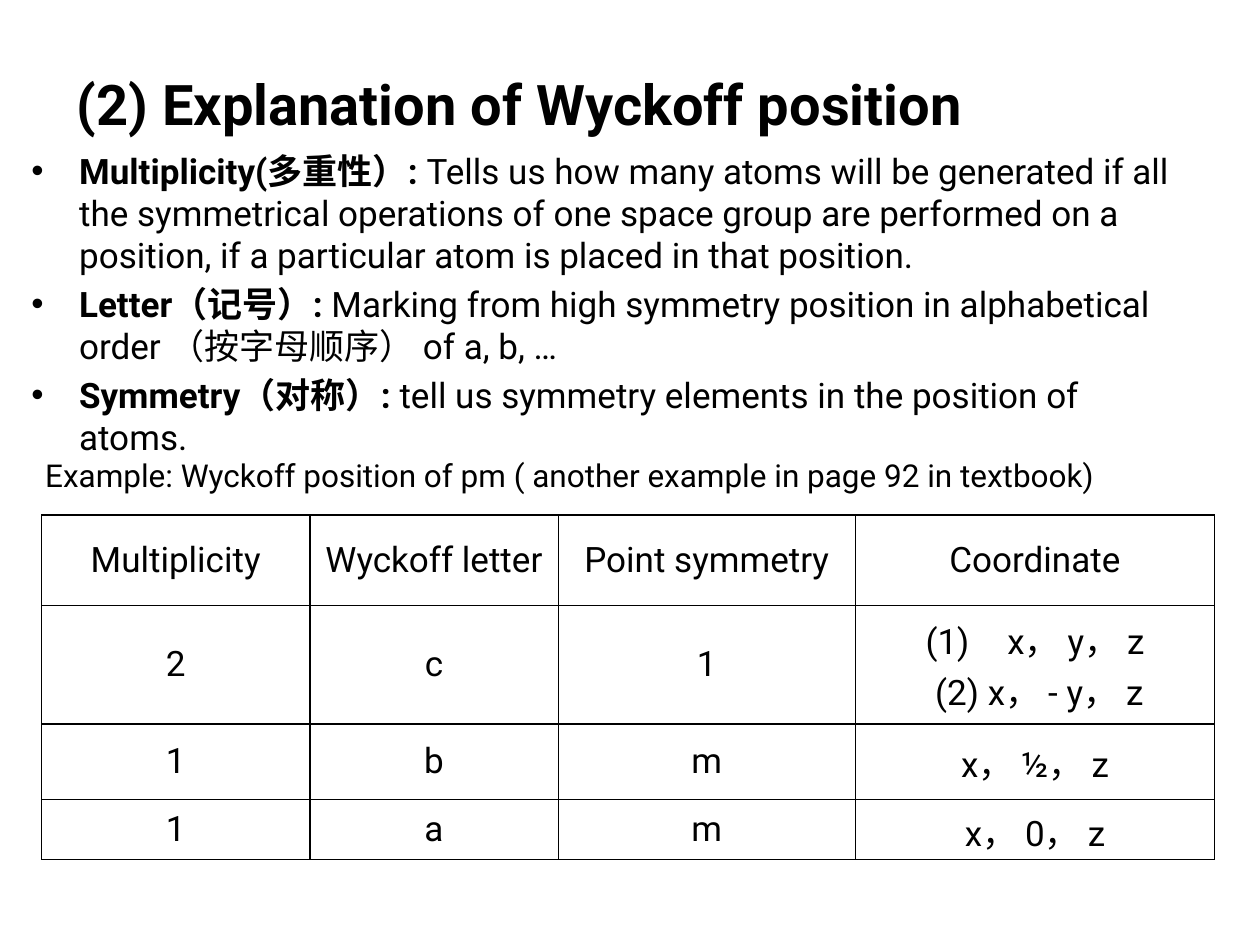
from lxml.etree import SubElement as Sub
from pptx import Presentation
from pptx.dml.color import RGBColor as RGB
from pptx.enum.text import MSO_ANCHOR as Anchor, MSO_AUTO_SIZE as AutoSize, PP_ALIGN as Align
from pptx.oxml.ns import qn
from pptx.util import Inches, Pt

COLORS = {"text": "000000", "border": "000000"}
FONT = "Roboto"
WIDTH, HEIGHT = Inches(10), Inches(7.5)

# Boxes as shares of the slide: left, top, width, height
TITLE_BOX = (0.051, 0.067, 0.74, 0.085)
BODY_BOX = (0.015, 0.152, 0.934, 0.336)
CAPTION_BOX = (0.026, 0.476, 0.918, 0.053)
TABLE_BOX = (0.033, 0.545, 0.931, 0.365)

TITLE = "(2) Explanation of Wyckoff position"
CAPTION = "Example: Wyckoff position of pm ( another example in page 92 in textbook)"
TERMS = [
    ("Multiplicity(多重性）: ",
     "Tells us how many atoms will be generated if all the symmetrical operations "
     "of one space group are performed on a position, if a particular atom is "
     "placed in that position."),
    ("Letter（记号）: ",
     "Marking from high symmetry position in alphabetical order （按字母顺序） of a, b, …"),
    ("Symmetry（对称）: ",
     "tell us symmetry elements in the position of atoms."),
]
ROWS = [
    ["Multiplicity", "Wyckoff letter", "Point symmetry", "Coordinate"],
    ["2", "c", "1", " x， y， z\n (2) x， - y， z"],
    ["1", "b", "m", "x， ½， z"],
    ["1", "a", "m", "x， 0， z"],
]
COL_WEIGHTS = [2.13, 1.97, 2.36, 2.85]
ROW_WEIGHTS = [0.72, 0.94, 0.6, 0.48]


def place(box):
    x, y, w, h = box
    return int(x * WIDTH), int(y * HEIGHT), int(w * WIDTH), int(h * HEIGHT)


def style(r, size, bold=False):
    r.font.name, r.font.size, r.font.bold = FONT, Pt(size), bold
    r.font.color.rgb = RGB.from_string(COLORS["text"])


def hang(p, indent):
    """Give the paragraph a hanging indent in inches and return its properties."""
    pPr = p._p.get_or_add_pPr()
    pPr.set("marL", str(Inches(indent)))
    pPr.set("indent", str(-Inches(indent)))
    return pPr


def add_line(s, box, text, size, bold=False):
    tf = s.shapes.add_textbox(*place(box)).text_frame
    tf.word_wrap, tf.auto_size = True, AutoSize.SHAPE_TO_FIT_TEXT
    tf.text = text
    style(tf.paragraphs[0].runs[0], size, bold)


def add_terms(s, box, terms):
    tf = s.shapes.add_textbox(*place(box)).text_frame
    tf.word_wrap = True
    for i, term in enumerate(terms):
        p = tf.add_paragraph() if i else tf.paragraphs[0]
        pPr = hang(p, 0.38)
        Sub(pPr, qn("a:buFont"), typeface="Arial")
        Sub(pPr, qn("a:buChar"), char="•")
        if i:
            p.space_before = Pt(4)
        for text, bold in zip(term, (True, False)):
            r = p.add_run()
            r.text = text
            style(r, 20, bold)


def add_borders(cell):
    tcPr = cell._tc.get_or_add_tcPr()
    for side in ("lnL", "lnR", "lnT", "lnB"):
        ln = Sub(tcPr, qn(f"a:{side}"), w=str(Pt(0.75)))
        Sub(Sub(ln, qn("a:solidFill")), qn("a:srgbClr"), val=COLORS["border"])


def fill_cell(cell, text):
    add_borders(cell)
    cell.fill.background()
    cell.vertical_anchor = Anchor.MIDDLE
    tf = cell.text_frame
    tf.text = text
    numbered = len(tf.paragraphs) > 1
    for i, p in enumerate(tf.paragraphs):
        p.alignment = Align.CENTER
        pPr = hang(p, 0.58 if numbered else 0.38)
        if numbered and i == 0:
            Sub(pPr, qn("a:buFont"), typeface=FONT)
            Sub(pPr, qn("a:buAutoNum"), type="arabicParenBoth")
        style(p.runs[0], 20)


def add_positions(s, box, rows):
    x, y, w, h = place(box)
    table = s.shapes.add_table(len(rows), len(rows[0]), x, y, w, h).table
    table.first_row = table.horz_banding = False
    for col, weight in zip(table.columns, COL_WEIGHTS):
        col.width = int(w * weight / sum(COL_WEIGHTS))
    for row, weight, texts in zip(table.rows, ROW_WEIGHTS, rows):
        row.height = int(h * weight / sum(ROW_WEIGHTS))
        for cell, text in zip(row.cells, texts):
            fill_cell(cell, text)


def main():
    prs = Presentation()
    prs.slide_width, prs.slide_height = WIDTH, HEIGHT
    s = prs.slides.add_slide(prs.slide_layouts[6])
    add_terms(s, BODY_BOX, TERMS)
    add_line(s, TITLE_BOX, TITLE, 32, bold=True)
    add_positions(s, TABLE_BOX, ROWS)
    add_line(s, CAPTION_BOX, CAPTION, 18)
    prs.save("out.pptx")


if __name__ == "__main__":
    main()
